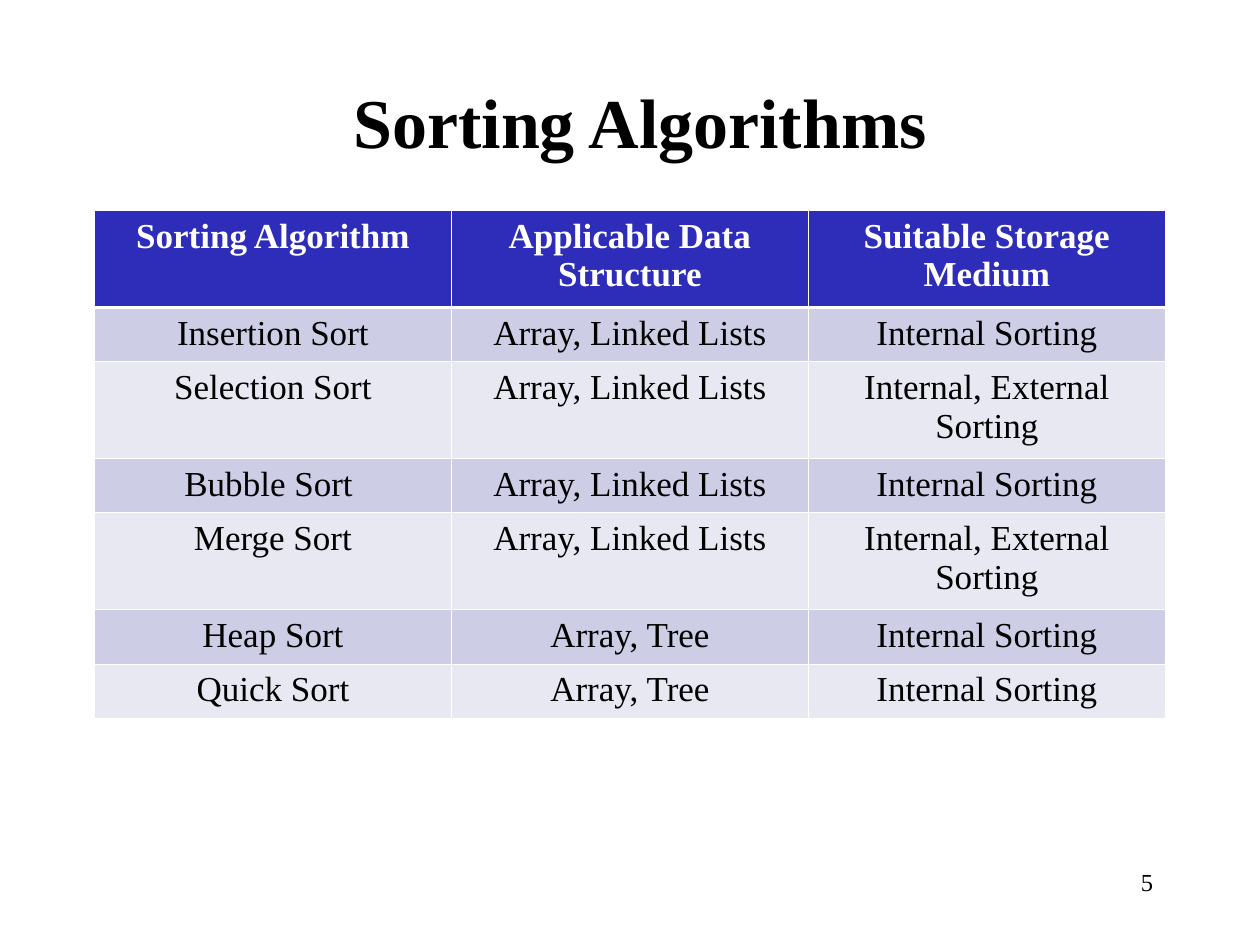
from lxml import etree
from pptx import Presentation
from pptx.dml.color import RGBColor
from pptx.enum.text import MSO_ANCHOR, PP_ALIGN
from pptx.oxml.ns import qn
from pptx.util import Inches, Pt

CENTER, RIGHT = PP_ALIGN.CENTER, PP_ALIGN.RIGHT
MIDDLE = MSO_ANCHOR.MIDDLE
FONT = "Times New Roman"
BLACK, WHITE = "000000", "FFFFFF"
HEAD, BANDS = "2D2DB9", ("CDCDE6", "E8E8F3")
THIN, THICK = 0.45, 1.47


def color(code):
    return RGBColor.from_string(code)


class Page:
    def __init__(self, deck):
        self.slide = deck.slides.add_slide(deck.slide_layouts[5])

    def style(self, frame, text, size, ink=BLACK, bold=False, align=CENTER):
        frame.text = text
        frame.word_wrap = True
        para = frame.paragraphs[0]
        para.alignment = align
        font = para.font
        font.name, font.size, font.bold = FONT, Pt(size), bold
        font.color.rgb = color(ink)

    def title(self, text, left, top, width, height):
        shape = self.slide.shapes.title
        shape.left, shape.top = Inches(left), Inches(top)
        shape.width, shape.height = Inches(width), Inches(height)
        self.style(shape.text_frame, text, 40, bold=True)
        shape.text_frame.vertical_anchor = MIDDLE

    def label(self, text, left, top, width, height):
        box = self.slide.shapes.add_textbox(
            Inches(left), Inches(top), Inches(width), Inches(height))
        self.style(box.text_frame, text, 14, align=RIGHT)

    def border(self, cell, widths):
        props = cell._tc.get_or_add_tcPr()
        for spot, (side, width) in enumerate(widths.items()):
            line = etree.Element(qn(f"a:{side}"), w=str(Pt(width)))
            fill = etree.SubElement(line, qn("a:solidFill"))
            etree.SubElement(fill, qn("a:srgbClr"), val=WHITE)
            props.insert(spot, line)

    def table(self, rows, heights, left, top, width):
        grid = self.slide.shapes.add_table(
            len(rows), len(rows[0]), Inches(left), Inches(top),
            Inches(width), Inches(sum(heights))).table
        for r, (row, height) in enumerate(zip(rows, heights)):
            grid.rows[r].height = Inches(height)
            head = r == 0
            for c, text in enumerate(row):
                cell = grid.cell(r, c)
                self.style(cell.text_frame, text, 20,
                           WHITE if head else BLACK, head)
                cell.fill.solid()
                cell.fill.fore_color.rgb = color(
                    HEAD if head else BANDS[(r - 1) % 2])
                self.border(cell, {"lnL": THIN, "lnR": THIN,
                                   "lnT": THICK if r == 1 else THIN,
                                   "lnB": THICK if head else THIN})


deck = Presentation()
deck.slide_width, deck.slide_height = Inches(10), Inches(7.5)
page = Page(deck)

# Heading
page.title("Sorting Algorithms", 0.83, 0.5, 8.5, 0.92)

# Comparison table
LISTS, TREE = "Array, Linked Lists", "Array, Tree"
INNER, BOTH = "Internal Sorting", "Internal, External Sorting"
rows = [
    ("Sorting Algorithm", "Applicable Data Structure",
     "Suitable Storage Medium"),
    ("Insertion Sort", LISTS, INNER),
    ("Selection Sort", LISTS, BOTH),
    ("Bubble Sort ", LISTS, INNER),
    ("Merge Sort", LISTS, BOTH),
    ("Heap Sort", TREE, INNER),
    ("Quick Sort", TREE, INNER),
]
heights = [0.77 if i == 0 or row[2] == BOTH else 0.43
           for i, row in enumerate(rows)]
page.table(rows, heights, 0.75, 1.67, 8.5)

# Page number
page.label("5", 7.17, 6.83, 2.08, 0.5)

deck.save("out.pptx")
